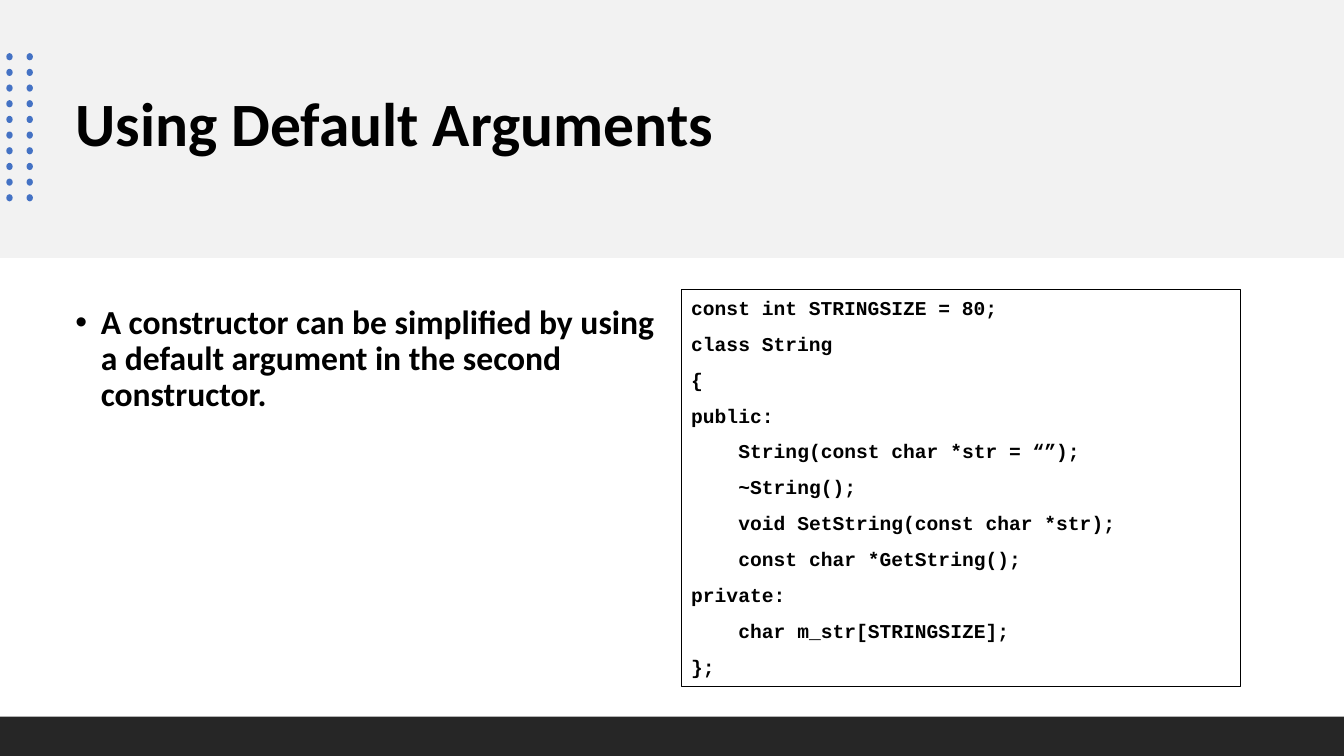
import dataclasses

import pptx
import pptx.dml.color
import pptx.enum.shapes
import pptx.enum.text
import pptx.oxml.ns
import pptx.util
from lxml import etree

Cm = pptx.util.Cm
Pt = pptx.util.Pt
SHAPES = pptx.enum.shapes.MSO_SHAPE
ALIGN = pptx.enum.text.PP_ALIGN
ANCHOR = pptx.enum.text.MSO_ANCHOR
SLIDE_WIDTH, SLIDE_HEIGHT = 33.87, 19.05


@dataclasses.dataclass(frozen=True)
class Theme:
    """Colours, fonts and type sizes of the slide."""

    band: str = "F2F2F2"
    footer: str = "262626"
    dot: str = "4472C4"
    ink: str = "000000"
    text_font: str = "Calibri"
    code_font: str = "Courier New"
    title_size: int = 44
    body_size: int = 24
    code_size: int = 14


def apply_format(target, values):
    """Set each attribute of target from a dict."""
    for name, value in values.items():
        setattr(target, name, value)


class SlideBuilder:
    """Adds styled elements to the current slide."""

    def __init__(self, page, theme):
        self.page = page
        self.theme = theme

    def colour(self, value):
        """Return a colour object for a hex value."""
        return pptx.dml.color.RGBColor.from_string(value)

    def shape(self, kind, place, fill=None, line=None):
        """Add a preset shape with optional fill and outline."""
        box = self.page.shapes.add_shape(kind, *map(Cm, place))
        box.shadow.inherit = False
        if fill:
            box.fill.solid()
            box.fill.fore_color.rgb = self.colour(fill)
        else:
            box.fill.background()
        if line:
            box.line.color.rgb = self.colour(line)
            box.line.width = Pt(0.75)
        else:
            box.line.fill.background()
        return box

    def text_box(self, place, anchor):
        """Add a wrapping text box and return it."""
        box = self.page.shapes.add_textbox(*map(Cm, place))
        apply_format(box.text_frame, {"word_wrap": True, "vertical_anchor": anchor})
        return box

    def paragraph(self, para, text, font, size, layout, left=0, bullet=None):
        """Fill a paragraph with bold text, an indent and an optional bullet."""
        apply_format(para, layout)
        span = para.add_run()
        span.text = text
        apply_format(span.font, {"name": font, "size": Pt(size), "bold": True})
        span.font.color.rgb = self.colour(self.theme.ink)
        properties = para._p.get_or_add_pPr()
        properties.set("marL", str(Cm(left)))
        if bullet:
            properties.set("indent", str(-Cm(left)))
            for tag, name, value in (("a:buFont", "typeface", "Arial"),
                                     ("a:buChar", "char", bullet)):
                mark = etree.SubElement(properties, pptx.oxml.ns.qn(tag))
                mark.set(name, value)

    def dot_grid(self, left, top, columns, rows, column_step, row_step):
        """Add an evenly spaced grid of dots."""
        for row in range(rows):
            for column in range(columns):
                place = (left + column * column_step, top + row * row_step, 0.16, 0.18)
                self.shape(SHAPES.OVAL, place, self.theme.dot)

    def title(self, text, place):
        """Add the slide title."""
        box = self.text_box(place, ANCHOR.MIDDLE)
        self.paragraph(box.text_frame.paragraphs[0], text, self.theme.text_font,
                       self.theme.title_size, {"line_spacing": 0.9})

    def bullet(self, text, place):
        """Add a bulleted statement."""
        box = self.text_box(place, ANCHOR.TOP)
        layout = {"line_spacing": 0.9, "space_before": Pt(10)}
        self.paragraph(box.text_frame.paragraphs[0], text, self.theme.text_font,
                       self.theme.body_size, layout, 0.64, "•")

    def code(self, lines, place):
        """Add an outlined listing from pairs of indent level and text."""
        box = self.shape(SHAPES.RECTANGLE, place, line=self.theme.ink)
        frame = box.text_frame
        apply_format(frame, {"word_wrap": True, "vertical_anchor": ANCHOR.TOP})
        layout = {"alignment": ALIGN.JUSTIFY, "line_spacing": 1.05, "space_after": Pt(8)}
        for number, (level, text) in enumerate(lines):
            para = frame.add_paragraph() if number else frame.paragraphs[0]
            self.paragraph(para, text, self.theme.code_font, self.theme.code_size,
                           layout, level * 1.19)


CODE = [
    (0, "const int STRINGSIZE = 80;"),
    (0, "class String"),
    (0, "{"),
    (0, "public:"),
    (1, "String(const char *str = “”);"),
    (1, "~String();"),
    (1, "void SetString(const char *str);"),
    (1, "const char *GetString();"),
    (0, "private:"),
    (1, "char m_str[STRINGSIZE];"),
    (0, "};"),
]


def main():
    """Build the slide and save the deck."""
    deck = pptx.Presentation()
    apply_format(deck, {"slide_width": Cm(SLIDE_WIDTH), "slide_height": Cm(SLIDE_HEIGHT)})
    theme = Theme()
    builder = SlideBuilder(deck.slides.add_slide(deck.slide_layouts[6]), theme)
    builder.shape(SHAPES.RECTANGLE, (0, 0, SLIDE_WIDTH, 6.5), theme.band)
    builder.title("Using Default Arguments", (1.65, 0.94, 30.56, 4.5))
    builder.dot_grid(0.16, 1.34, columns=2, rows=10, column_step=0.51, row_step=0.395)
    builder.bullet("A constructor can be simplified by using a default argument "
                   "in the second constructor.", (1.65, 7.57, 15.27, 9.7))
    builder.shape(SHAPES.RECTANGLE, (0, 18.06, SLIDE_WIDTH, 0.99), theme.footer)
    builder.code(CODE, (17.17, 7.3, 14.1, 10))
    deck.save("out.pptx")


if __name__ == "__main__":
    main()
